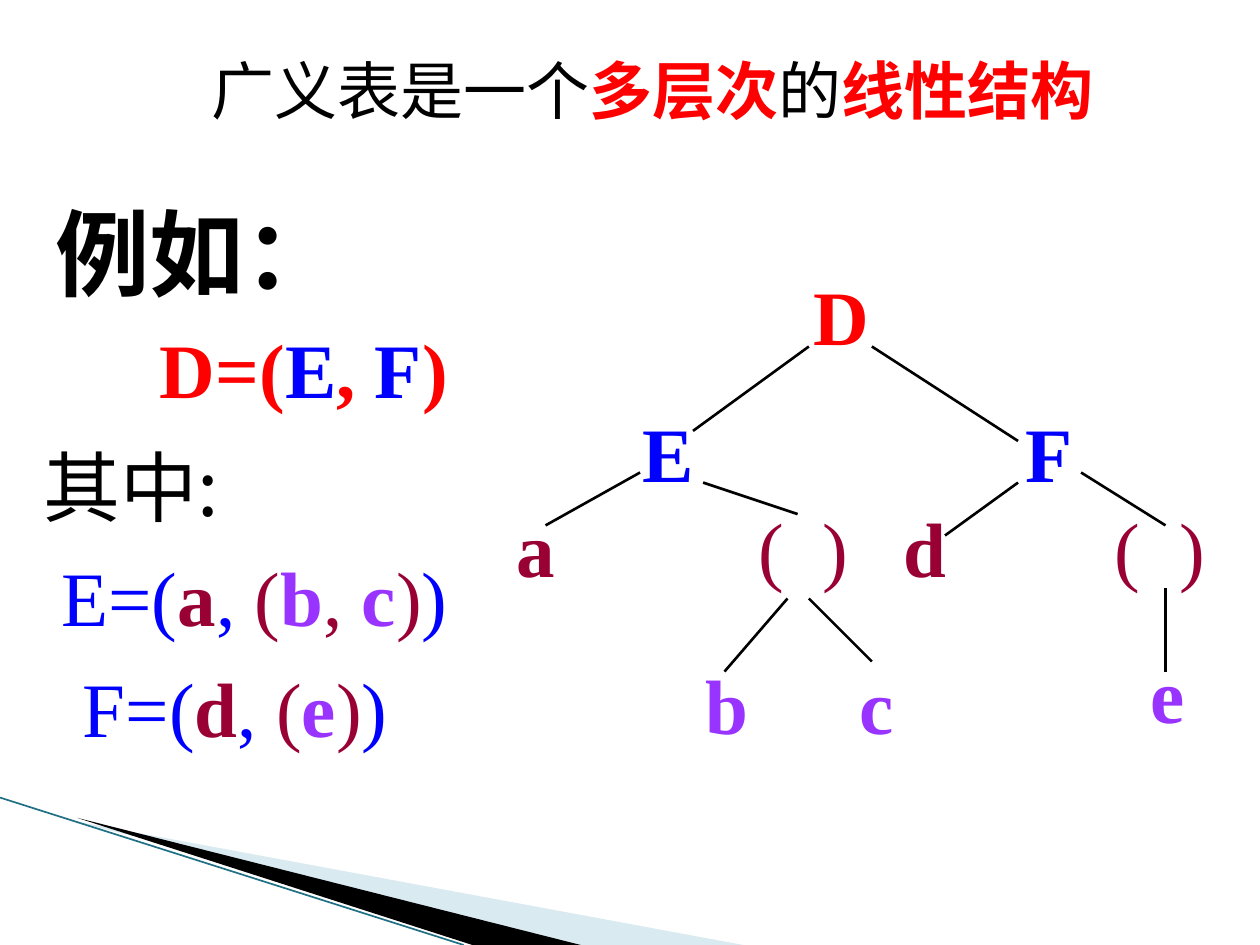
from lxml import etree
from pptx import Presentation
from pptx.dml.color import RGBColor
from pptx.enum import shapes, text
from pptx.oxml.ns import qn
from pptx.util import Inches, Pt

LATIN, HAN = "Times New Roman", "Noto Sans CJK SC"
BLACK, RED, BLUE, WINE, VIOLET = "000000", "FF0000", "0000FF", "990033", "9933FF"


def paint(color, value):
    color.rgb = RGBColor.from_string(value)


def fill(shape, value, alpha=None):
    shape.shadow.inherit = False
    shape.line.fill.background()
    shape.fill.solid()
    paint(shape.fill.fore_color, value)
    if alpha:
        tint = shape.fill._xPr.find(qn("a:solidFill"))[0]
        etree.SubElement(tint, qn("a:alpha"), val=str(alpha * 1000))


def line(slide, start, end, color=BLACK, width=1.5):
    points = [Inches(v) for v in (*start, *end)]
    link = slide.shapes.add_connector(shapes.MSO_CONNECTOR.STRAIGHT, *points)
    paint(link.line.color, color)
    link.line.width = Pt(width)
    etree.SubElement(link._element.spPr, qn("a:effectLst"))


def write(para, runs, size=44, font=LATIN, indent=0, space=None):
    """Fill a paragraph with (text, colour, bold) runs."""
    para.alignment = text.PP_ALIGN.LEFT
    if space:
        para.line_spacing = space
    if indent:
        para._p.get_or_add_pPr().set("marL", str(Inches(indent)))
    for words, color, bold in runs:
        run = para.add_run()
        run.text = words
        run.font.size, run.font.name, run.font.bold = Pt(size), font, bold
        paint(run.font.color, color)
        etree.SubElement(run._r.rPr, qn("a:ea"), typeface=HAN)


def label(slide, box, runs, **style):
    shape = slide.shapes.add_textbox(*[Inches(v) for v in box])
    shape.text_frame.word_wrap = False
    write(shape.text_frame.paragraphs[0], runs, **style)
    return shape.text_frame


def heading(slide, box):
    title = slide.shapes.title
    title.left, title.top, title.width, title.height = [Inches(v) for v in box]
    frame = title.text_frame
    frame.word_wrap = False
    frame.auto_size = text.MSO_AUTO_SIZE.NONE
    frame.vertical_anchor = text.MSO_ANCHOR.TOP
    write(frame.paragraphs[0], [("广义表是一个", BLACK, False), ("多层次", RED, True),
                                ("的", BLACK, False), ("线性结构", RED, True)], size=36)


def swoosh(slide, box):
    """Decorate the bottom left corner."""
    x, y, wide, high = box
    base = y + high
    bands = [([(0.55, 0.18), (5.9, high), (4.56, high)], "A0CBDC", 40),
             ([(0.61, 0.16), (4.61, high), (3.75, high)], BLACK, None)]
    for points, color, alpha in bands:
        spots = [(Inches(x + a), Inches(y + b)) for a, b in points]
        maker = slide.shapes.build_freeform(*spots[0])
        maker.add_line_segments(spots[1:])
        fill(maker.convert_to_shape(), color, alpha)
    line(slide, (x, y), (x + 3.68, base), "1F6F85", 0.95)


def sample(slide, box):
    """Write the example list and its parts."""
    x, y, wide, high = box
    label(slide, (x + 0.09, y, 2.6, 1), [("例如：", BLACK, True)], size=54)
    label(slide, (x + 0.92, y + 1, 2.8, 0.83),
          [("D=(", RED, True), ("E", BLUE, True), (", ", RED, True),
           ("F", BLUE, True), (")", RED, True)])
    frame = label(slide, (x, y + 1.79, wide, high - 1.79),
                  [("其中:", BLACK, False)], font=HAN, space=1.2)
    write(frame.add_paragraph(),
          [("E=(", BLUE, False), ("a", WINE, True), (", ", BLUE, False),
           ("(", WINE, False), ("b", VIOLET, True), (", ", WINE, False),
           ("c", VIOLET, True), (")", WINE, False), (")", BLUE, False)],
          indent=0.14, space=1.2)
    write(frame.add_paragraph(),
          [("F=(", BLUE, False), ("d", WINE, True), (",", BLUE, False),
           (" (", WINE, False), ("e", VIOLET, True), (")", WINE, False),
           (")", BLUE, False)],
          indent=0.31, space=1.2)


def tree(slide, box):
    x, y, wide, high = box
    nodes = [("D", 2.36, 0, 0.64, RED), ("E", 1, 1.09, 0.61, BLUE),
             ("F", 4.04, 1.09, 0.57, BLUE), ("a", 0, 1.84, 0.51, WINE),
             ("(  )", 1.92, 1.84, 0.91, WINE), ("d", 3.07, 1.84, 0.54, WINE),
             ("(  )", 4.75, 1.84, 0.91, WINE), ("b", 1.5, 3.09, 0.54, VIOLET),
             ("c", 2.72, 3.09, 0.47, VIOLET), ("e", 5.03, 3, 0.47, VIOLET)]
    for name, left, top, width, color in nodes:
        label(slide, (x + left, y + top, width, 0.83),
              [(name, color, name.isalpha())])
    edges = [(2.42, 0.67, 1.5, 1.34), (2.92, 0.67, 4.08, 1.42),
             (1.08, 1.67, 0.33, 2.09), (1.58, 1.75, 2.33, 2),
             (2.25, 2.67, 1.75, 3.25), (2.42, 2.67, 2.92, 3.17),
             (4.08, 1.75, 3.5, 2.17), (4.58, 1.67, 5.25, 2.09),
             (5.25, 2.59, 5.25, 3.25)]
    for a, b, c, d in edges:
        line(slide, (x + a, y + b), (x + c, y + d))


def main():
    deck = Presentation()
    deck.slide_width, deck.slide_height = Inches(10), Inches(7.5)
    slide = deck.slides.add_slide(deck.slide_layouts[5])
    swoosh(slide, (0, 6.33, 5.9, 1.17))
    heading(slide, (1.58, 0.36, 7.21, 0.7))
    sample(slide, (0.25, 1.5, 3.7, 4.53))
    tree(slide, (4, 2.08, 5.66, 3.92))
    deck.save("out.pptx")


if __name__ == "__main__":
    main()
